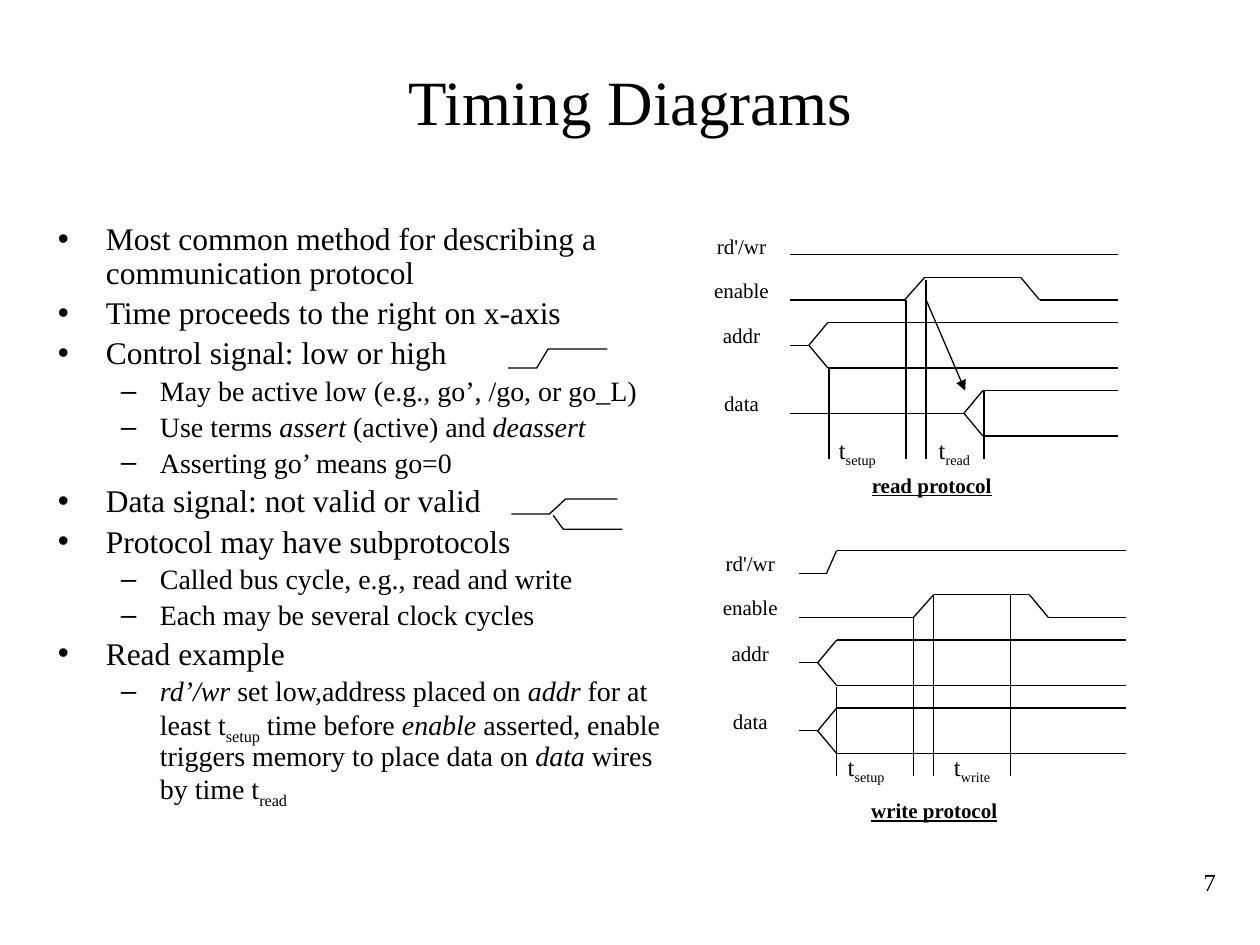
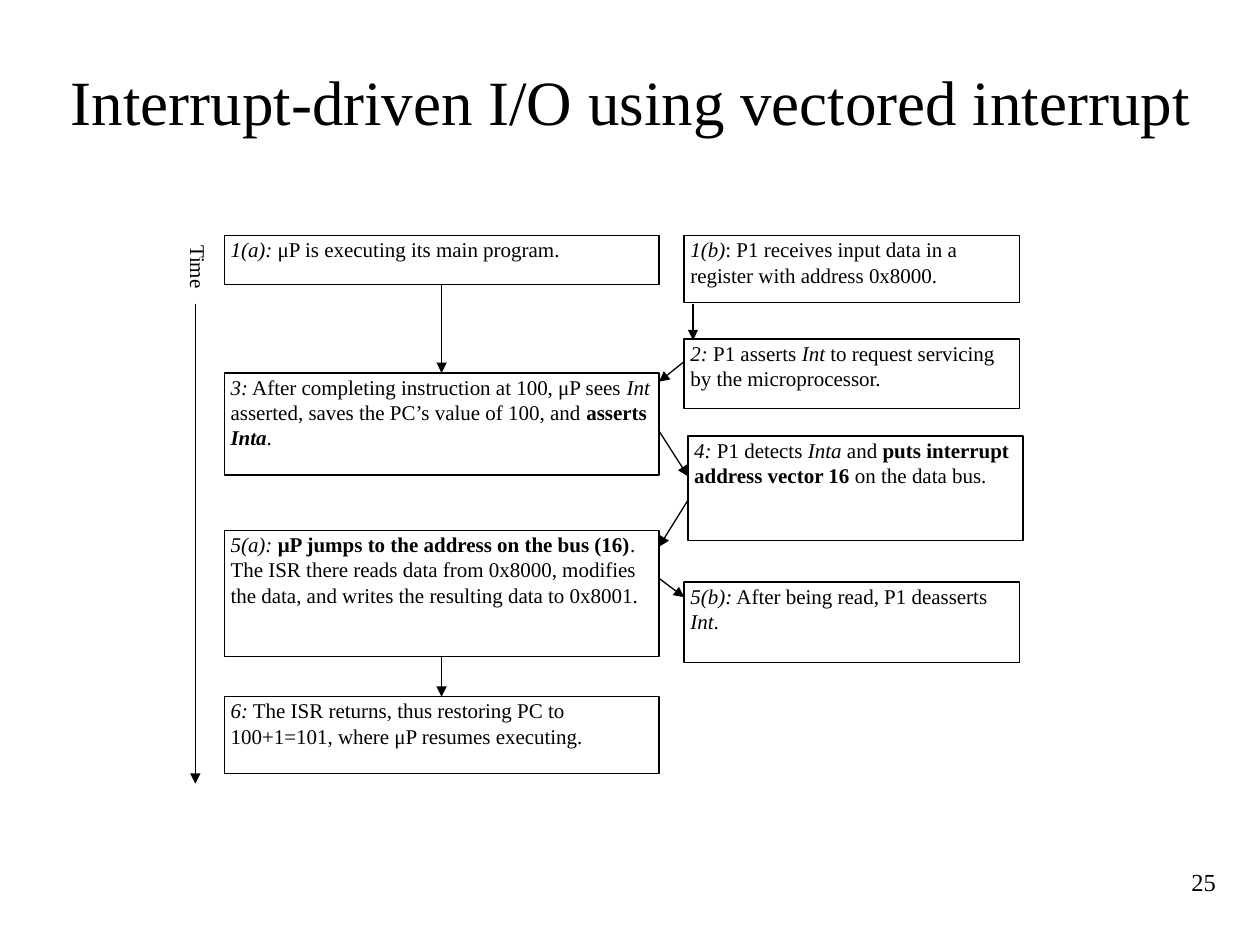
from itertools import pairwise
from lxml import etree
from pptx import Presentation
from pptx import util as u
from pptx.dml import color
from pptx.enum import shapes, text
from pptx.oxml import ns

FONT = "Times New Roman"
INK = "000000"
LINE_WIDTH = u.Pt(0.75)
LEFT, CENTER, RIGHT = text.PP_ALIGN.LEFT, text.PP_ALIGN.CENTER, text.PP_ALIGN.RIGHT


def write(shape, content, size=12, align=CENTER, insets=(0, 0), anchor=text.MSO_ANCHOR.TOP,
          bold=False, underline=False, append=False):
    frame = shape.text_frame
    frame.word_wrap = True
    frame.auto_size = text.MSO_AUTO_SIZE.NONE
    frame.vertical_anchor = anchor
    frame.margin_left = frame.margin_right = u.Inches(insets[0])
    frame.margin_top = frame.margin_bottom = u.Inches(insets[1])
    paragraph = frame.add_paragraph() if append else frame.paragraphs[0]
    paragraph.alignment = align
    for words, style in [(content, "")] if isinstance(content, str) else content:
        run = paragraph.add_run()
        run.text = words
        run.font.name = FONT
        run.font.size = u.Pt(size)
        run.font.color.rgb = color.RGBColor.from_string(INK)
        run.font.bold = bold or "b" in style
        run.font.italic = "i" in style
        run.font.underline = underline
        if "s" in style:
            run._r.get_or_add_rPr().set("baseline", "-25000")
    return paragraph


def draw_line(slide, points, arrow=False):
    for start, end in pairwise(points):
        connector = slide.shapes.add_connector(
            shapes.MSO_CONNECTOR.STRAIGHT, *[u.Inches(value) for value in (*start, *end)])
        connector.line.color.rgb = color.RGBColor.from_string(INK)
        connector.line.width = LINE_WIDTH
        if arrow:
            etree.SubElement(connector.line._get_or_add_ln(), ns.qn("a:tailEnd"), type="triangle")
        etree.SubElement(connector._element.spPr, ns.qn("a:effectLst"))
    return connector


presentation = Presentation()
presentation.slide_width = u.Inches(10)
presentation.slide_height = u.Inches(7.5)

slides = []
for layout, title, number in [(1, "Timing Diagrams", "7"),
                              (5, "Interrupt-driven I/O using vectored interrupt", "25")]:
    slide = presentation.slides.add_slide(presentation.slide_layouts[layout])
    heading = slide.shapes.title
    heading.left, heading.top = u.Inches(0.42), u.Inches(0.17)
    heading.width, heading.height = u.Inches(9.17), u.Inches(1.25)
    write(heading, title, size=36, insets=(0, 0.05), anchor=text.MSO_ANCHOR.MIDDLE)
    page = slide.shapes.add_textbox(u.Inches(8.75), u.Inches(6.83), u.Inches(1), u.Inches(0.5))
    write(page, number, size=14, align=RIGHT, insets=(0.1, 0.05))
    slides.append(slide)
timing, interrupt = slides

bullets = [
    (0, "Most common method for describing a communication protocol"),
    (0, "Time proceeds to the right on x-axis"),
    (0, "Control signal: low or high"),
    (1, "May be active low (e.g., go’, /go, or go_L)"),
    (1, [("Use terms ", ""), ("assert", "i"), (" (active) and ", ""), ("deassert", "i")]),
    (1, "Asserting go’ means go=0"),
    (0, "Data signal: not valid or valid"),
    (0, "Protocol may have subprotocols"),
    (1, "Called bus cycle, e.g., read and write"),
    (1, "Each may be several clock cycles"),
    (0, "Read example"),
    (1, [("rd’/wr", "i"), (" set low,address placed on ", ""), ("addr", "i"),
         (" for at least t", ""), ("setup", "s"), (" time before ", ""), ("enable", "i"),
         (" asserted, enable triggers memory to place data on ", ""), ("data", "i"),
         (" wires by time t", ""), ("read", "s")]),
]
bullet_styles = [(18, "•", 0.38, -0.38), (16, "–", 0.81, -0.31)]
body = timing.placeholders[1]
body.left, body.top = u.Inches(0.36), u.Inches(1.72)
body.width, body.height = u.Inches(5.1), u.Inches(4.86)
for index, (level, content) in enumerate(bullets):
    size, mark, margin, indent = bullet_styles[level]
    paragraph = write(body, content, size=size, align=LEFT, insets=(0.1, 0.05), append=index > 0)
    paragraph.level = level
    paragraph.line_spacing = 0.9
    paragraph.space_before = u.Pt(size * 0.2 if index else 0)
    properties = paragraph._p.get_or_add_pPr()
    properties.set("marL", str(u.Inches(margin)))
    properties.set("indent", str(u.Inches(indent)))
    etree.SubElement(properties, ns.qn("a:buChar"), char=mark)

signal_icons = [
    [(4.03, 2.92), (4.26, 2.92), (4.35, 2.77), (4.82, 2.77)],
    [(4.06, 4.08), (4.36, 4.08), (4.49, 3.96), (4.9, 3.96)],
    [(4.39, 4.09), (4.47, 4.2), (4.94, 4.2)],
]
for points in signal_icons:
    start, *rest = [(u.Inches(x), u.Inches(y)) for x, y in points]
    builder = timing.shapes.build_freeform(*start)
    builder.add_line_segments(rest, close=False)
    icon = builder.convert_to_shape()
    icon.shadow.inherit = False
    icon.fill.background()
    icon.line.color.rgb = color.RGBColor.from_string(INK)
    icon.line.width = LINE_WIDTH

signal_rows = [("rd'/wr", 0), ("enable", 0.35), ("addr", 0.71), ("data", 1.25)]
enable_wave = [(0.77, 0.53), (1.68, 0.53), (1.84, 0.35), (2.6, 0.35), (2.75, 0.53), (3.37, 0.53)]
protocols = [
    dict(name="read", left=5.5, top=1.85, caption=(1.12, 1.9), access_left=1.69, data_valid=2.15,
         select_wave=[(0.77, 0.17), (3.37, 0.17)],
         markers=[(1.08, 1.08), (1.69, 0.53), (1.85, 0.37), (2.31, 1.25)]),
    dict(name="write", left=5.57, top=4.37, caption=(1.07, 1.96), access_left=1.76, data_valid=0.92,
         select_wave=[(0.77, 0.18), (0.99, 0.18), (1.07, 0), (3.37, 0)],
         markers=[(1.07, 1.08), (1.68, 0.53), (1.84, 0.35), (2.45, 0.35)]),
]
for protocol in protocols:
    name, left, top = protocol["name"], protocol["left"], protocol["top"]
    labels = [(label, 0, offset, 0.77, 0.36, dict()) for label, offset in signal_rows]
    labels += [([("t", ""), (period, "s")], offset, 1.6, 0.77, 0.36, dict(size=14))
               for period, offset in [("setup", 0.92), (name, protocol["access_left"])]]
    labels.append((f"{name} protocol", *protocol["caption"], 1.55, 0.27,
                   dict(bold=True, underline=True)))
    for content, x, y, width, height, style in labels:
        label = timing.shapes.add_textbox(u.Inches(left + x), u.Inches(top + y),
                                          u.Inches(width), u.Inches(height))
        write(label, content, **style)

    waves = [protocol["select_wave"], enable_wave]
    for middle, valid in [(0.89, 0.92), (1.43, protocol["data_valid"])]:
        waves.append([(0.77, middle), (valid, middle)])
        for edge in (middle - 0.18, middle + 0.18):
            waves.append([(valid, middle), (valid + 0.15, edge), (3.37, edge)])
    waves += [[(x, y), (x, 1.79)] for x, y in protocol["markers"]]
    for wave in waves:
        draw_line(timing, [(left + x, top + y) for x, y in wave])
draw_line(timing, [(7.35, 2.38), (7.66, 3.1)], arrow=True)

CPU, DEVICE = (1.78, 3.45), (5.43, 2.66)
steps = [
    (CPU, 1.87, 0.39, [("1(a):", "i"), (" μP is executing its main program.", "")]),
    (DEVICE, 1.87, 0.53, [("1(b)", "i"),
                          (": P1 receives input data in a register with address 0x8000.", "")]),
    (DEVICE, 2.69, 0.55, [("2:", "i"), (" P1 asserts ", ""), ("Int", "i"),
                          (" to request servicing by the microprocessor.", "")]),
    (CPU, 2.96, 0.81, [("3:", "i"), (" After completing instruction at 100, μP sees ", ""),
                       ("Int", "i"), (" asserted, saves the PC’s value of 100, and ", ""),
                       ("asserts ", "b"), ("Inta", "bi"), (".", "")]),
    ((5.46, 2.66), 3.46, 0.83, [("4:", "i"), (" P1 detects ", ""), ("Inta", "i"), (" and ", ""),
                                ("puts interrupt address vector 16", "b"),
                                (" on the data bus.", "")]),
    (CPU, 4.21, 1, [("5(a): ", "i"), ("μP jumps to the address on the bus (16)", "b"),
                    (". The ISR there reads data from 0x8000, modifies the data, "
                     "and writes the resulting data to 0x8001.", "")]),
    (DEVICE, 4.62, 0.64, [("5(b):", "i"), (" After being read, P1 deasserts ", ""),
                          ("Int", "i"), (".", "")]),
    (CPU, 5.53, 0.61, [("6:", "i"), (" The ISR returns, thus restoring PC to 100+1=101, "
                                     "where μP resumes executing.", "")]),
]
boxes = {}
for (left, width), top, height, content in steps:
    box = interrupt.shapes.add_shape(shapes.MSO_SHAPE.RECTANGLE, u.Inches(left), u.Inches(top),
                                     u.Inches(width), u.Inches(height))
    box.shadow.inherit = False
    box.fill.background()
    box.line.color.rgb = color.RGBColor.from_string(INK)
    box.line.width = LINE_WIDTH
    write(box, content, align=LEFT, insets=(0.05, 0.01))
    boxes[content[0][0].strip()] = box

for source, target in [("1(a):", "3:"), ("5(a):", "6:")]:
    arrow = draw_line(interrupt, [(3.5, 2.26), (3.5, 2.96)], arrow=True)
    arrow.begin_connect(boxes[source], 2)
    arrow.end_connect(boxes[target], 0)

for points in [
    [(5.5, 2.41), (5.5, 2.7)],
    [(5.43, 2.87), (5.23, 3.03)],
    [(5.23, 3.42), (5.46, 3.78)],
    [(5.46, 3.97), (5.23, 4.34)],
    [(5.23, 4.59), (5.43, 4.74)],
    [(1.55, 2.41), (1.55, 6.22)],
]:
    draw_line(interrupt, points, arrow=True)

time_label = interrupt.shapes.add_textbox(u.Inches(1.29), u.Inches(2.04),
                                          u.Inches(0.48), u.Inches(0.29))
time_label.rotation = 90
write(time_label, "Time", align=LEFT)

presentation.save("out.pptx")
